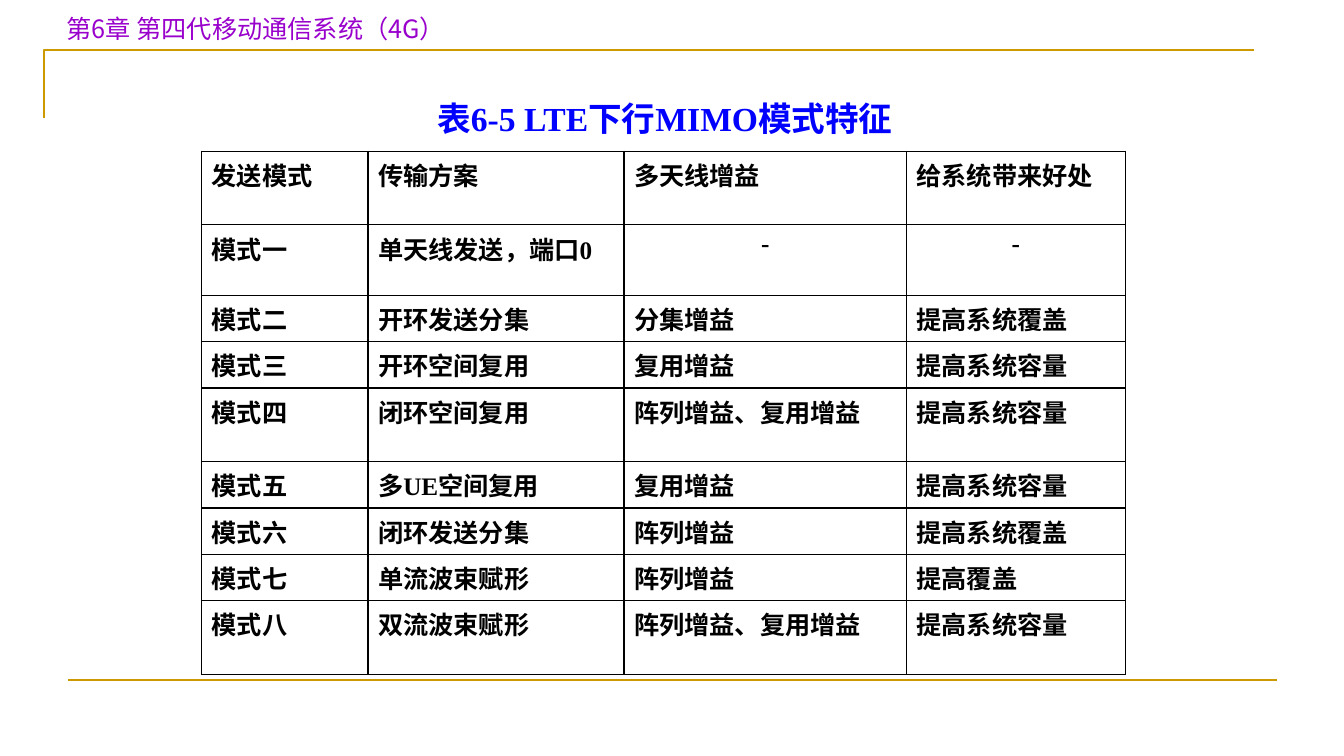
import lxml.etree
import pptx
import pptx.dml.color
import pptx.enum.shapes
import pptx.enum.text
import pptx.oxml.ns
import pptx.util

# Content
CHAPTER = "第6章 第四代移动通信系统（4G）"
TITLE = "表6-5 LTE下行MIMO模式特征"
MODES = [
    ("发送模式", "传输方案", "多天线增益", "给系统带来好处"),
    ("模式一", "单天线发送，端口0", "-", "-"),
    ("模式二", "开环发送分集", "分集增益", "提高系统覆盖"),
    ("模式三", "开环空间复用", "复用增益", "提高系统容量"),
    ("模式四", "闭环空间复用", "阵列增益、复用增益", "提高系统容量"),
    ("模式五", "多UE空间复用", "复用增益", "提高系统容量"),
    ("模式六", "闭环发送分集", "阵列增益", "提高系统覆盖"),
    ("模式七", "单流波束赋形", "阵列增益", "提高覆盖"),
    ("模式八", "双流波束赋形", "阵列增益、复用增益", "提高系统容量"),
]

# Style and measures in inches
COLORS = {"rule": "CC9900", "chapter": "9900CC", "title": "0000FF", "table": "000000"}
SANS, SERIF = "Noto Sans CJK JP", "Times New Roman"
WIDTH, HEIGHT = 13.33, 7.5
RULE_LENGTH = 12
COLUMN_WIDTHS = (1.65, 2.54, 2.8, 2.17)
SINGLE_ROW, DOUBLE_ROW = 0.46, 0.73
ROW_HEIGHTS = {0: DOUBLE_ROW, 1: 0.7, 4: DOUBLE_ROW, 8: DOUBLE_ROW}
HANGING = 0.38

inches = pptx.util.Inches
qn = pptx.oxml.ns.qn


def color(name):
    return pptx.dml.color.RGBColor.from_string(COLORS[name])


def add_run(paragraph, text, size, font, color_name, bold=False):
    run = paragraph.add_run()
    run.text = text
    run.font.size = pptx.util.Pt(size)
    run.font.name = font
    run.font.bold = bold
    run.font.color.rgb = color(color_name)
    east_asian = lxml.etree.Element(qn("a:ea"), typeface=SANS)
    run.font._element.find(qn("a:latin")).addnext(east_asian)


def style_rule(shape):
    shape.line.color.rgb = color("rule")
    shape.line.width = pptx.util.Pt(1.5)


def add_borders(cell, widths):
    properties = cell._tc.get_or_add_tcPr()
    for side, points in widths.items():
        line = lxml.etree.SubElement(
            properties, qn("a:ln" + side), w=str(pptx.util.Pt(points)))
        fill = lxml.etree.SubElement(line, qn("a:solidFill"))
        lxml.etree.SubElement(fill, qn("a:srgbClr"), val=COLORS["table"])


presentation = pptx.Presentation()
presentation.slide_width, presentation.slide_height = inches(WIDTH), inches(HEIGHT)
slide = presentation.slides.add_slide(presentation.slide_layouts[5])

# Corner rule at the top and straight rule at the bottom
left, top = 0.44, 0.5
builder = slide.shapes.build_freeform(inches(left), inches(top + 0.67))
builder.add_line_segments(
    [(inches(left), inches(top)), (inches(left + RULE_LENGTH), inches(top))], close=False)
corner = builder.convert_to_shape()
corner.shadow.inherit = False
corner.fill.background()
style_rule(corner)

bottom = 0.9 * HEIGHT
footer = slide.shapes.add_connector(
    pptx.enum.shapes.MSO_CONNECTOR.STRAIGHT,
    inches(0.67), inches(bottom), inches(0.67 + RULE_LENGTH), inches(bottom))
style_rule(footer)
lxml.etree.SubElement(footer._element.spPr, qn("a:effectLst"))

# Chapter heading
chapter = slide.shapes.add_textbox(inches(0.56), inches(0.08), inches(5.78), inches(0.4))
chapter.text_frame.word_wrap = True
add_run(chapter.text_frame.paragraphs[0], CHAPTER, 18, SANS, "chapter")

# Title
title = slide.shapes.title
title.left, title.top = inches(0.67), inches(0.67)
title.width, title.height = inches(12), inches(0.88)
frame = title.text_frame
frame.auto_size = pptx.enum.text.MSO_AUTO_SIZE.NONE
frame.vertical_anchor = pptx.enum.text.MSO_ANCHOR.MIDDLE
frame.margin_top, frame.margin_right = inches(0.17), inches(0.25)
frame.paragraphs[0].alignment = pptx.enum.text.PP_ALIGN.CENTER
add_run(frame.paragraphs[0], TITLE, 24, SERIF, "title", bold=True)

# Table of modes
heights = [ROW_HEIGHTS.get(row, SINGLE_ROW) for row in range(len(MODES))]
table = slide.shapes.add_table(
    len(MODES), len(COLUMN_WIDTHS), inches(2), inches(1.5),
    inches(sum(COLUMN_WIDTHS)), inches(sum(heights))).table
table.first_row = table.horz_banding = False
for column, width in zip(table.columns, COLUMN_WIDTHS):
    column.width = inches(width)
last = len(COLUMN_WIDTHS) - 1
for row, (texts, height) in enumerate(zip(MODES, heights)):
    table.rows[row].height = inches(height)
    for column, text in enumerate(texts):
        cell = table.cell(row, column)
        add_borders(cell, {"L": 0.75 if column == 0 else 1,
                           "R": 0.75 if column == last else 1, "T": 1, "B": 1})
        cell.fill.background()
        paragraph = cell.text_frame.paragraphs[0]
        indents = paragraph._p.get_or_add_pPr()
        indents.set("marL", str(inches(HANGING)))
        indents.set("indent", str(-inches(HANGING)))
        if text == "-":
            paragraph.alignment = pptx.enum.text.PP_ALIGN.CENTER
        add_run(paragraph, text, 18, SERIF, "table", bold=True)

presentation.save("out.pptx")
